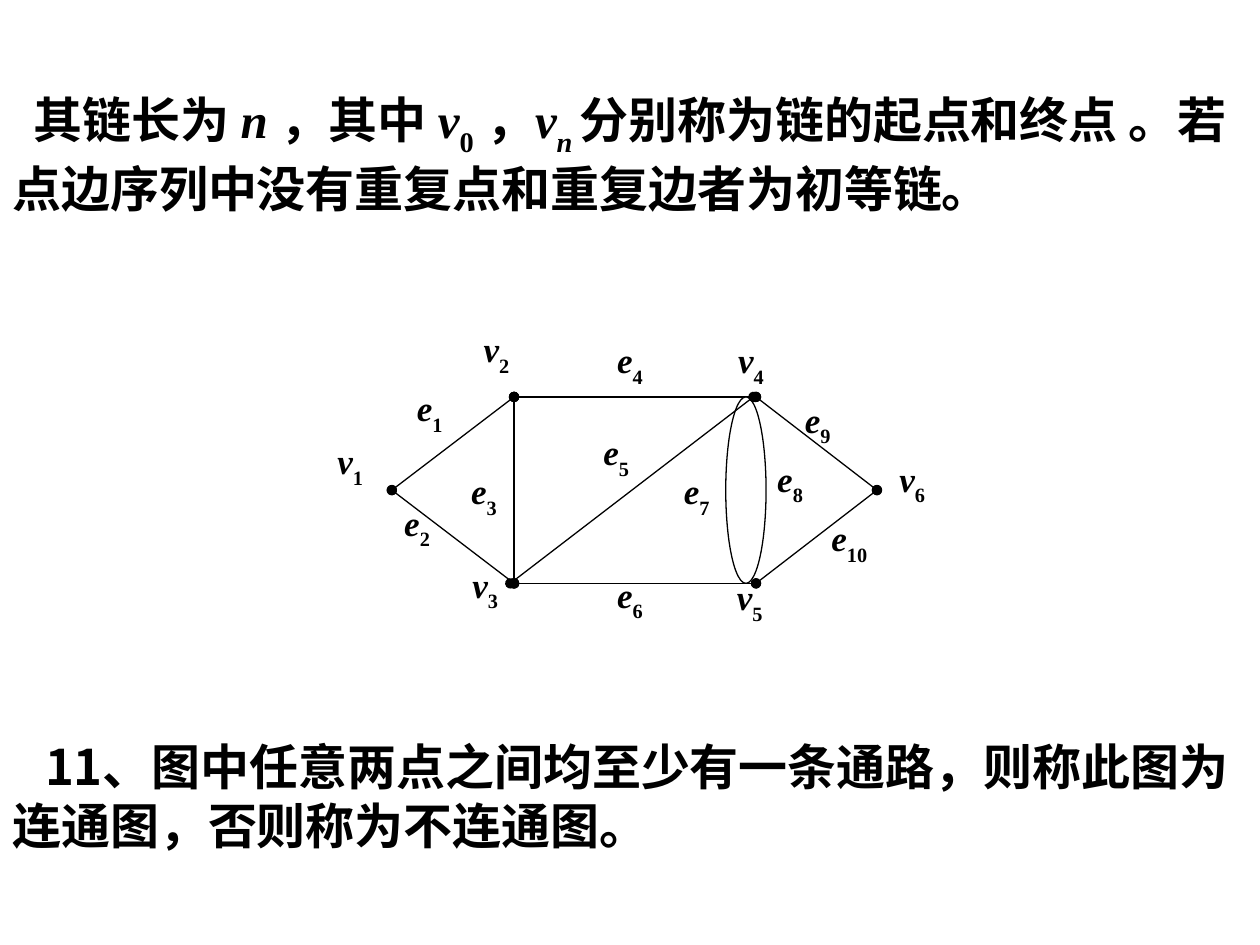
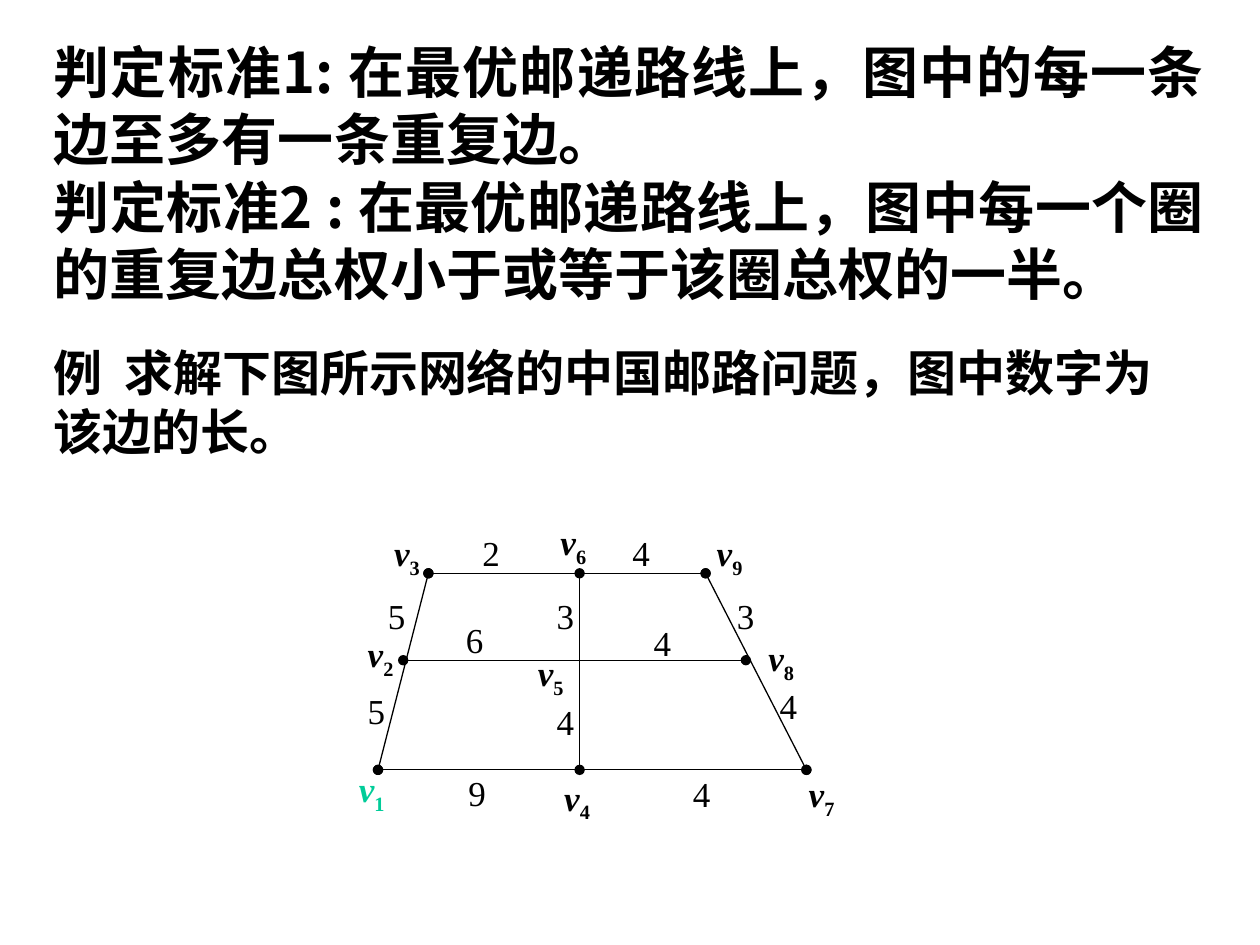
from lxml.etree import SubElement
from pptx import Presentation
from pptx.dml.color import RGBColor
from pptx.enum.shapes import MSO_CONNECTOR, MSO_SHAPE
from pptx.enum.text import MSO_AUTO_SIZE, PP_ALIGN
from pptx.oxml.ns import qn
from pptx.util import Inches, Pt

SANS = "Noto Sans CJK SC"
SERIF = "Times New Roman"
BLACK, WHITE, GREEN = "000000", "FFFFFF", "00CC99"
JUSTIFY = PP_ALIGN.JUSTIFY


def color(value):
    return RGBColor.from_string(value)


def add_run(p, text, size=28, font=SANS, bold=True, italic=False,
            base=0, fill=BLACK):
    """Add formatted text; base is the baseline shift in percent."""
    r = p.add_run()
    r.text = text
    f = r.font
    f.size, f.bold, f.italic = Pt(size), bold, italic
    f.color.rgb = color(fill)
    f.name = font
    rPr = r._r.get_or_add_rPr()
    SubElement(rPr, qn("a:ea")).set("typeface", SANS)
    if base:
        rPr.set("baseline", str(base * 1000))


def add_box(slide, x, y, w, h, grow=False):
    box = slide.shapes.add_textbox(Inches(x), Inches(y), Inches(w), Inches(h))
    tf = box.text_frame
    tf.word_wrap = True
    if grow:
        tf.auto_size = MSO_AUTO_SIZE.SHAPE_TO_FIT_TEXT
    return tf


def set_indent(p, first):
    p._p.get_or_add_pPr().set("indent", str(Inches(first)))


def add_tab(p, pos):
    tabs = SubElement(p._p.get_or_add_pPr(), qn("a:tabLst"))
    tab = SubElement(tabs, qn("a:tab"))
    tab.set("pos", str(Inches(pos)))
    tab.set("algn", "l")


def add_symbol(slide, name, x, y, w, h, base, fill=BLACK):
    """A letter with its index, such as v1."""
    p = add_box(slide, x, y, w, h).paragraphs[0]
    p.alignment = JUSTIFY
    add_run(p, name[0], size=20, font=SERIF, italic=True, fill=fill)
    add_run(p, name[1:], size=20, font=SERIF, base=base, fill=fill)


def add_weight(slide, value, x, y):
    p = add_box(slide, x, y, 0.6, 0.52).paragraphs[0]
    p.alignment = JUSTIFY
    add_run(p, str(value), size=20, font=SERIF, bold=False)


def add_edge(slide, start, end):
    """A thin line with a dot at each end."""
    points = [Inches(v) for v in (*start, *end)]
    cx = slide.shapes.add_connector(MSO_CONNECTOR.STRAIGHT, *points)
    cx.line.color.rgb = color(BLACK)
    cx.line.width = Pt(0.75)
    ln = cx.line._get_or_add_ln()
    for tag in ("a:headEnd", "a:tailEnd"):
        SubElement(ln, qn(tag)).set("type", "oval")
    SubElement(cx._element.spPr, qn("a:effectLst"))


def add_loop(slide, x, y, w, h):
    sp = slide.shapes.add_shape(MSO_SHAPE.OVAL, Inches(x), Inches(y),
                                Inches(w), Inches(h))
    sp.shadow.inherit = False
    sp.fill.solid()
    sp.fill.fore_color.rgb = color(WHITE)
    sp.line.color.rgb = color(BLACK)
    sp.line.width = Pt(0.75)


def chain_slide(prs):
    slide = prs.slides.add_slide(prs.slide_layouts[6])

    # Graph edges
    v1, v2, v3 = (3.11, 3.89), (4.08, 3.15), (4.08, 4.63)
    v4, v5, v6 = (6, 3.15), (6, 4.63), (6.96, 3.89)
    for start, end in ((v2, v4), (v3, v5), (v2, v3), (v4, v6),
                       (v5, v6), (v2, v1), (v3, v1)):
        add_edge(slide, start, end)
    add_loop(slide, 5.76, 3.15, 0.32, 1.48)
    add_edge(slide, (5.98, 3.15), (4.05, 4.63))

    # Vertex and edge names
    names = {
        "v1": (2.58, 3.44), "v2": (3.74, 2.55), "v3": (3.65, 4.42),
        "v4": (5.76, 2.64), "v5": (5.75, 4.52), "v6": (7.04, 3.58),
        "e1": (3.21, 3.02), "e2": (3.11, 3.93), "e3": (3.64, 3.68),
        "e4": (4.8, 2.64), "e5": (4.69, 3.37), "e6": (4.8, 4.5),
        "e7": (5.33, 3.68), "e8": (6.07, 3.58), "e9": (6.29, 3.11),
        "e10": (6.5, 4.05),
    }
    for name, (x, y) in names.items():
        add_symbol(slide, name, x, y, 0.96, 1.11, base=-30)

    # Definition of a connected graph
    p = add_box(slide, 0, 5.8, 10, 1.03, grow=True).paragraphs[0]
    set_indent(p, 0.26)
    add_run(p, "11、图中任意两点之间均至少有一条通路，则称此图为连通图，"
               "否则称为不连通图。")

    # Definition of a chain
    p = add_box(slide, 0, 0.66, 10, 1.04, grow=True).paragraphs[0]
    set_indent(p, 0.17)
    add_run(p, "其链长为 ")
    add_run(p, "n ", font=SERIF, italic=True)
    add_run(p, "，其中 ")
    add_run(p, "v", font=SERIF, italic=True)
    add_run(p, "0", font=SERIF, base=-30)
    add_run(p, " ，", font=SERIF)
    add_run(p, "v", font=SERIF, italic=True)
    add_run(p, "n ", font=SERIF, italic=True, base=-30)
    add_run(p, "分别称为链的起点和终点 。若点边序列中没有重复点和重复边者为初等链。")


def postman_slide(prs):
    slide = prs.slides.add_slide(prs.slide_layouts[6])

    # Optimality criteria
    tf = add_box(slide, 0.33, 0.25, 9.33, 2.26, grow=True)
    criteria = (
        "判定标准1: 在最优邮递路线上，图中的每一条边至多有一条重复边。",
        "判定标准2 : 在最优邮递路线上，图中每一个圈的重复边总权小于或等于该圈总权的一半。",
    )
    for i, text in enumerate(criteria):
        p = tf.add_paragraph() if i else tf.paragraphs[0]
        p.alignment = JUSTIFY
        add_run(p, text, size=32)

    # Example
    p = add_box(slide, 0.33, 2.67, 9.17, 1.03, grow=True).paragraphs[0]
    add_tab(p, 0.56)
    add_run(p, "例\t求解下图所示网络的中国邮路问题，图中数字为该边的长。")

    # Network edges
    v1, v3, v7, v9 = (3, 6.11), (3.4, 4.55), (6.4, 6.11), (5.6, 4.55)
    for start, end in (((3.2, 5.24), (5.92, 5.24)), (v3, v9), (v1, v7),
                       (v7, v9), (v3, v1), ((4.6, 4.55), (4.6, 6.11))):
        add_edge(slide, start, end)

    # Vertex names
    names = {
        "v1": (2.75, 6.04), "v2": (2.82, 4.97), "v3": (3.03, 4.17),
        "v4": (4.38, 6.11), "v5": (4.17, 5.12), "v6": (4.35, 4.08),
        "v7": (6.32, 6.08), "v8": (6, 5), "v9": (5.59, 4.17),
    }
    for name, (x, y) in names.items():
        add_symbol(slide, name, x, y, 0.6, 0.52, base=-25,
                   fill=GREEN if name == "v1" else BLACK)

    # Edge lengths
    weights = (
        (2, 3.73, 4.17), (4, 4.92, 4.17), (3, 5.75, 4.67), (4, 6.09, 5.38),
        (4, 5.4, 6.08), (9, 3.62, 6.07), (5, 2.82, 5.42), (5, 2.98, 4.67),
        (6, 3.6, 4.86), (4, 5.09, 4.88), (3, 4.32, 4.67), (4, 4.32, 5.51),
    )
    for value, x, y in weights:
        add_weight(slide, value, x, y)


def main():
    prs = Presentation()
    prs.slide_width, prs.slide_height = Inches(10), Inches(7.5)
    chain_slide(prs)
    postman_slide(prs)
    prs.save("out.pptx")


if __name__ == "__main__":
    main()
